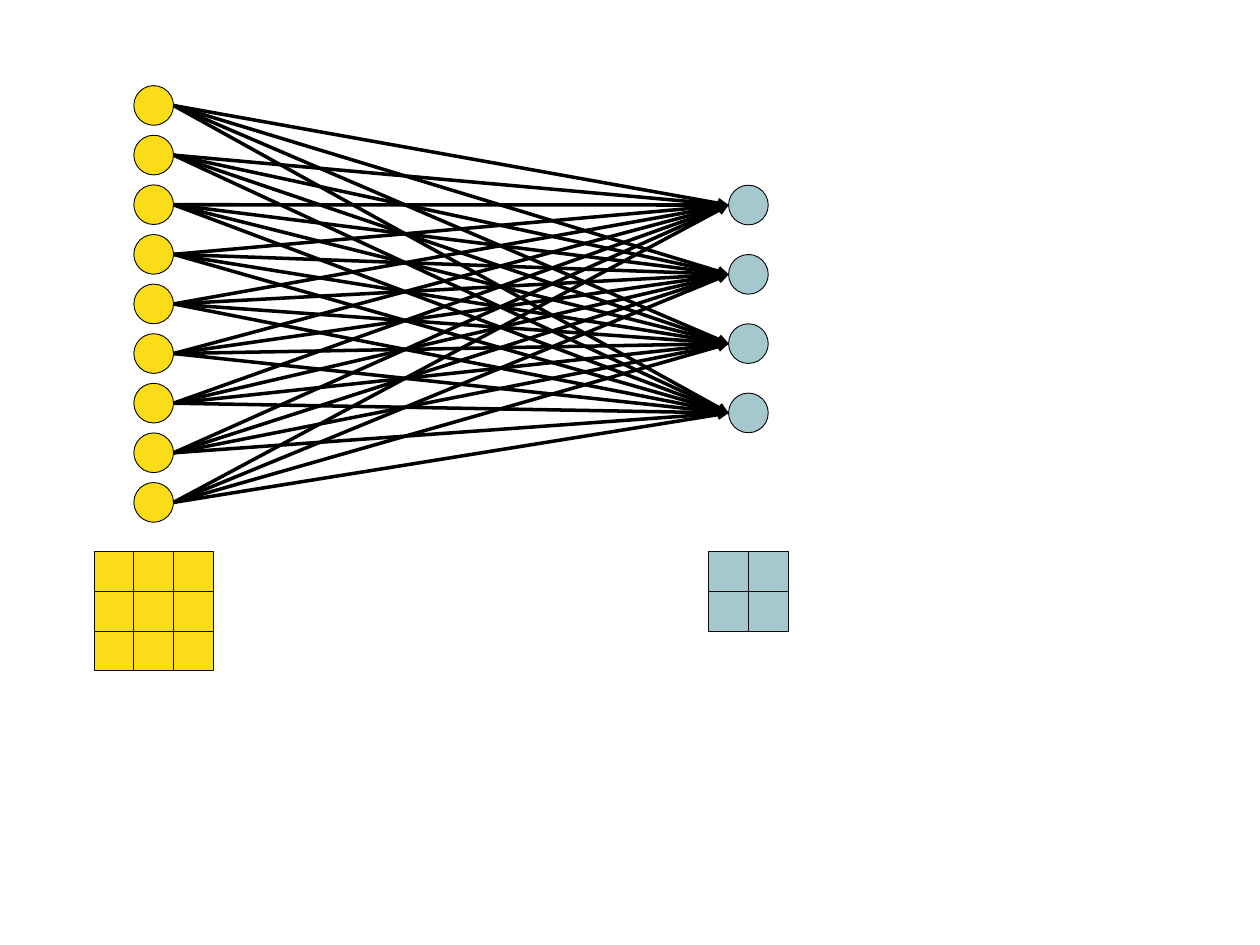
from dataclasses import dataclass
from itertools import product

from lxml.etree import SubElement
from pptx import Presentation
from pptx.dml.color import RGBColor
from pptx.enum.shapes import MSO_CONNECTOR, MSO_SHAPE
from pptx.oxml.ns import qn
from pptx.util import Inches, Pt

YELLOW = RGBColor(0xFA, 0xDC, 0x19)
BLUE = RGBColor(0xA5, 0xC7, 0xCE)
BLACK = RGBColor(0, 0, 0)
NEAR_BLACK = RGBColor(0x0D, 0x0D, 0x0D)

SIZE = 0.63 / 2  # node diameter and grid cell side
GRID_TOP = 4.38


@dataclass(frozen=True)
class Layer:
    """A column of nodes with a square grid of as many cells below it."""
    center: float
    top: float
    pitch: float
    side: int
    color: RGBColor

    @property
    def node_tops(self) -> list[float]:
        return [self.top + i * self.pitch for i in range(self.side ** 2)]


INPUT = Layer(center=1.22, top=0.68, pitch=3.15 / 8, side=3, color=YELLOW)
OUTPUT = Layer(center=5.94, top=1.47, pitch=0.55, side=2, color=BLUE)


def add_cell(s, kind: MSO_SHAPE, x: float, y: float,
             fill: RGBColor, line: RGBColor) -> None:
    sp = s.shapes.add_shape(kind, Inches(x), Inches(y), Inches(SIZE), Inches(SIZE))
    sp.shadow.inherit = False
    sp.fill.solid()
    sp.fill.fore_color.rgb = fill
    sp.line.color.rgb = line
    sp.line.width = Pt(0.5)


def add_layer(s, layer: Layer) -> None:
    for y in layer.node_tops:
        add_cell(s, MSO_SHAPE.OVAL, layer.center - SIZE / 2, y, layer.color, BLACK)
    left = layer.center - layer.side * SIZE / 2
    for row, col in product(range(layer.side), repeat=2):
        add_cell(s, MSO_SHAPE.RECTANGLE, left + col * SIZE, GRID_TOP + row * SIZE,
                 layer.color, NEAR_BLACK)


def add_arrow(s, x1: float, y1: float, x2: float, y2: float) -> None:
    cxn = s.shapes.add_connector(MSO_CONNECTOR.STRAIGHT, Inches(x1), Inches(y1),
                                 Inches(x2), Inches(y2))
    cxn.line.color.rgb = BLACK
    cxn.line.width = Pt(2)
    SubElement(cxn.line._get_or_add_ln(), qn("a:tailEnd"), type="triangle")
    SubElement(cxn._element.spPr, qn("a:effectLst"))


def connect(s, source: Layer, target: Layer) -> None:
    """Draw an arrow from every source node to every target node."""
    for y1, y2 in product(source.node_tops, target.node_tops):
        add_arrow(s, source.center + SIZE / 2, y1 + SIZE / 2,
                  target.center - SIZE / 2, y2 + SIZE / 2)


def main() -> None:
    prs = Presentation()
    prs.slide_width, prs.slide_height = Inches(10), Inches(7.5)
    s = prs.slides.add_slide(prs.slide_layouts[6])
    for layer in (INPUT, OUTPUT):
        add_layer(s, layer)
    connect(s, INPUT, OUTPUT)
    prs.save("out.pptx")


if __name__ == "__main__":
    main()
